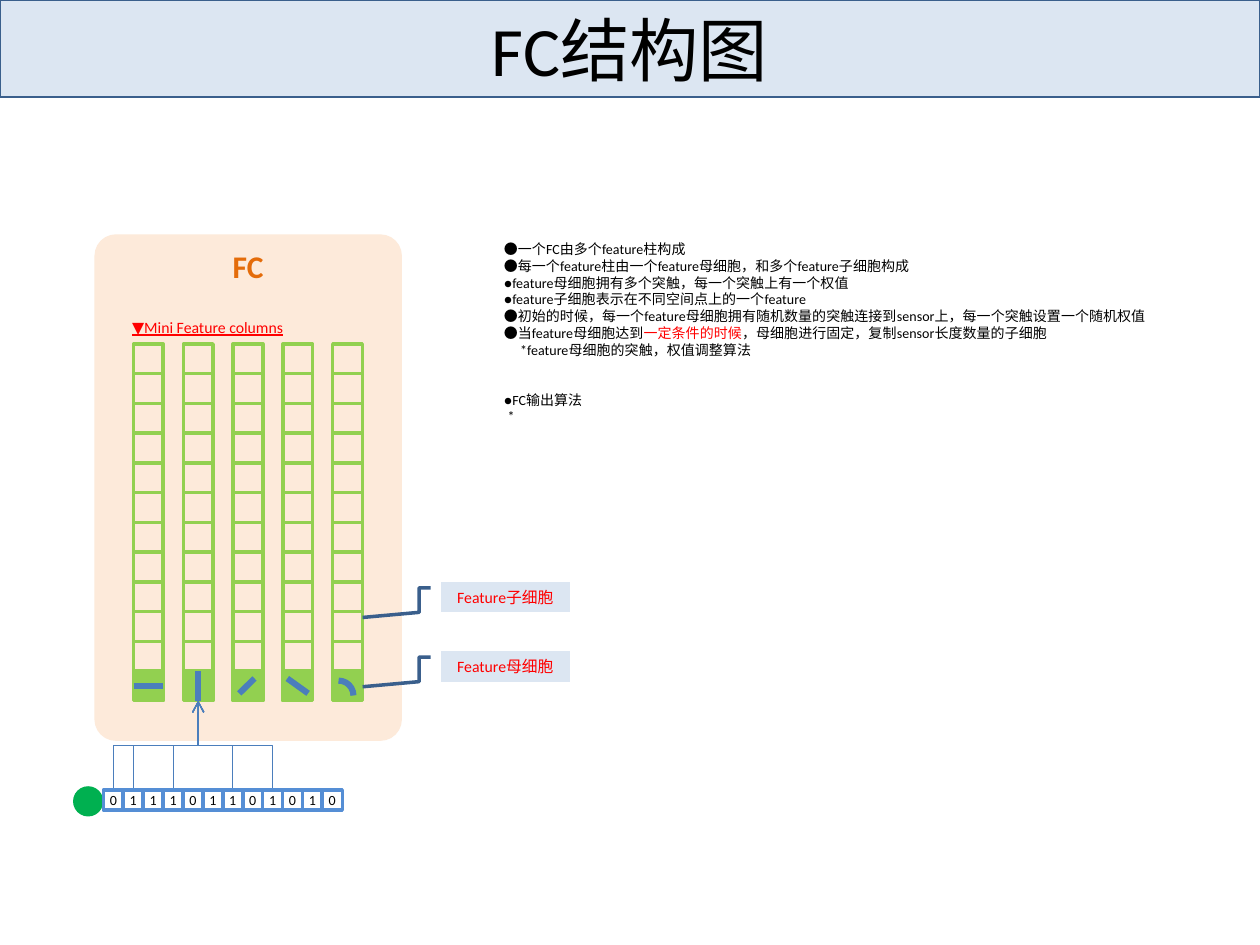
from lxml import etree
from pptx import Presentation, util as u
from pptx.dml.color import RGBColor
from pptx.enum import shapes, text
from pptx.oxml.ns import qn

COLORS = {
    "black": "000000", "red": "FF0000", "orange": "E46C0A", "pale": "DCE6F2",
    "navy": "3A5F8C", "peach": "FDEADA", "lime": "92D050", "green": "00B050",
    "blue": "4B7EBC", "sky": "558ED5",
}
# The slide is a grid of 100 columns by 75 rows
UNIT = u.Inches(0.1)
KIND = shapes.MSO_SHAPE

deck = Presentation()
deck.slide_width, deck.slide_height = 100 * UNIT, 75 * UNIT
page = deck.slides.add_slide(deck.slide_layouts[5])


def paint(shape, fill=None, line=None, width=0.75):
    """Set fill and line; None means there is none."""
    if fill:
        shape.fill.solid()
        shape.fill.fore_color.rgb = RGBColor.from_string(COLORS[fill])
    elif hasattr(shape, "fill"):
        shape.fill.background()
    if line:
        shape.line.color.rgb = RGBColor.from_string(COLORS[line])
        shape.line.width = u.Pt(width)
    else:
        shape.line.fill.background()
    if hasattr(shape, "shadow"):
        shape.shadow.inherit = False
    else:
        etree.SubElement(shape._element.spPr, qn("a:effectLst"))


def write(para, words, size, color="black", align=None):
    """Add one run to a paragraph and return it."""
    para.alignment = align
    span = para.add_run()
    span.text = words
    span.font.name, span.font.size = "Calibri", u.Pt(size)
    span.font.color.rgb = RGBColor.from_string(COLORS[color])
    return span


CENTER = text.PP_ALIGN.CENTER
MIDDLE = text.MSO_ANCHOR.MIDDLE

# Title band
title = page.shapes.title
title.left, title.top, title.width, title.height = 0, 0, 100 * UNIT, int(7.7 * UNIT)
paint(title, "pale", "navy")
title.text_frame.vertical_anchor = MIDDLE
write(title.text_frame.paragraphs[0], "FC结构图", 39.6, align=CENTER)

# Sensor dot and FC panel
dot = page.shapes.add_shape(KIND.OVAL, *(int(n * UNIT) for n in (5.8, 62.4, 2.4, 2.4)))
paint(dot, "green")
panel = page.shapes.add_shape(KIND.ROUNDED_RECTANGLE,
                              *(int(n * UNIT) for n in (7.5, 18.6, 24.4, 40.2)))
panel.adjustments[0] = 0.07
paint(panel, "peach")
panel.text_frame.vertical_anchor = text.MSO_ANCHOR.TOP
write(panel.text_frame.paragraphs[0], "FC", 18, "orange", CENTER).font.bold = True

# Feature columns: eleven child cells above one mother cell
CELL, COLUMN_STEP, COLUMN_LEFT, COLUMN_TOP, ROWS = 2.36, 3.95, 10.6, 27.3, 12
MOTHER_TOP = COLUMN_TOP + (ROWS - 1) * CELL
# Ends of each feature stroke, as shares of the mother cell; None is the arc
strokes = [(0, 0.5, 1, 0.5), (0.5, 0, 0.5, 1), (0.21, 0.75, 0.72, 0.25),
           (0.15, 0.25, 0.85, 0.75), None]
for column, stroke in enumerate(strokes):
    left = COLUMN_LEFT + column * COLUMN_STEP
    for row in range(ROWS):
        cell = page.shapes.add_shape(
            KIND.RECTANGLE, int(left * UNIT), int((COLUMN_TOP + row * CELL) * UNIT),
            int(CELL * UNIT), int(CELL * UNIT))
        paint(cell, "lime" if row == ROWS - 1 else None, "lime", 2)
    if stroke:
        ends = [int(((left, MOTHER_TOP)[i % 2] + share * CELL) * UNIT)
                for i, share in enumerate(stroke)]
        mark = page.shapes.add_connector(shapes.MSO_CONNECTOR.STRAIGHT, *ends)
    else:
        mark = page.shapes.add_shape(
            KIND.ARC, int((left - 0.3 * CELL) * UNIT),
            int((MOTHER_TOP + 0.32 * CELL) * UNIT), int(CELL * UNIT), int(CELL * UNIT))
    paint(mark, None, "blue", 3.5)

label = page.shapes.add_textbox(*(int(n * UNIT) for n in (9.5, 24.7, 22, 2.5)))
label.text_frame.word_wrap = True
write(label.text_frame.paragraphs[0], "▼Mini Feature columns", 9, "red").font.underline = True

# Synapses from sensor bits up to the second mother cell
BIT, BIT_STEP, BIT_LEFT, BIT_TOP = 1.6, 1.58, 8.2, 62.7
tip_x = COLUMN_LEFT + COLUMN_STEP + CELL / 2
tip_y = MOTHER_TOP + CELL
for bit in (0, 1, 3, 6, 8):
    bit_x = BIT_LEFT + bit * BIT_STEP + BIT / 2
    # The elbow is laid out flat about its centre, then turned upright
    mid_x, mid_y = (bit_x + tip_x) / 2, (BIT_TOP + tip_y) / 2
    side = 1 if bit_x < tip_x else -1
    half_w = side * (BIT_TOP - tip_y) / 2
    half_h = abs(tip_x - bit_x) / 2
    synapse = page.shapes.add_connector(
        shapes.MSO_CONNECTOR.ELBOW,
        *(int(n * UNIT) for n in (mid_x + half_w, mid_y + half_h,
                                  mid_x - half_w, mid_y - half_h)))
    synapse._element.spPr.xfrm.rot = 90 if side == 1 else 270
    paint(synapse, None, "blue")
    etree.SubElement(synapse.line._get_or_add_ln(), qn("a:tailEnd"), type="arrow")

# Notes: left indent, space before in points, runs
notes = [
    (0, 0, [("●一个FC由多个feature柱构成", "black")]),
    (0, 0, [("●每一个feature柱由一个feature母细胞，和多个feature子细胞构成", "black")]),
    (0, 0, [("●feature母细胞拥有多个突触，每一个突触上有一个权值", "black")]),
    (0, 0, [("●feature子细胞表示在不同空间点上的一个feature", "black")]),
    (0, 0, [("●初始的时候，每一个feature母细胞拥有随机数量的突触连接到sensor上，"
             "每一个突触设置一个随机权值", "black")]),
    (0, 0, [("●当feature母细胞达到", "black"), ("一定条件的时候", "red"),
            ("，母细胞进行固定，复制sensor长度数量的子细胞", "black")]),
    (1.3, 0, [("*feature母细胞的突触，权值调整算法", "black")]),
    (0, 19, [("●FC输出算法", "black")]),
    (0.3, 0, [("*", "black")]),
]
box = page.shapes.add_textbox(*(int(n * UNIT) for n in (39, 18.6, 55.1, 15.8)))
box.text_frame.word_wrap = True
for number, (indent, gap, spans) in enumerate(notes):
    para = box.text_frame.paragraphs[0] if number == 0 else box.text_frame.add_paragraph()
    para.space_before = u.Pt(gap)
    for words, color in spans:
        write(para, words, 8, color)
    para._p.get_or_add_pPr().set("marL", str(int(indent * UNIT)))

# Callouts naming the cells
for words, top in (("Feature母细胞", 51.7), ("Feature子细胞", 46.2)):
    callout = page.shapes.add_shape(KIND.LINE_CALLOUT_3_NO_BORDER,
                                    *(int(n * UNIT) for n in (35, top, 10.2, 2.4)))
    for i, share in enumerate((0.19, -0.08, 0.19, -0.17, 1, -0.17, 1.17, -0.61)):
        callout.adjustments[i] = share
    paint(callout, "pale", "navy", 2)
    callout.text_frame.vertical_anchor = MIDDLE
    callout.text_frame.word_wrap = False
    write(callout.text_frame.paragraphs[0], words, 9, "red", CENTER)

# Sensor bits
for bit, digit in enumerate("011101101010"):
    sensor = page.shapes.add_shape(
        KIND.RECTANGLE, int((BIT_LEFT + bit * BIT_STEP) * UNIT), int(BIT_TOP * UNIT),
        int(BIT * UNIT), int(BIT * UNIT))
    paint(sensor, None, "sky", 2)
    frame = sensor.text_frame
    frame.margin_left = frame.margin_right = frame.margin_top = frame.margin_bottom = 0
    frame.vertical_anchor = MIDDLE
    frame.word_wrap = False
    write(frame.paragraphs[0], digit, 8, align=CENTER)

deck.save("out.pptx")
